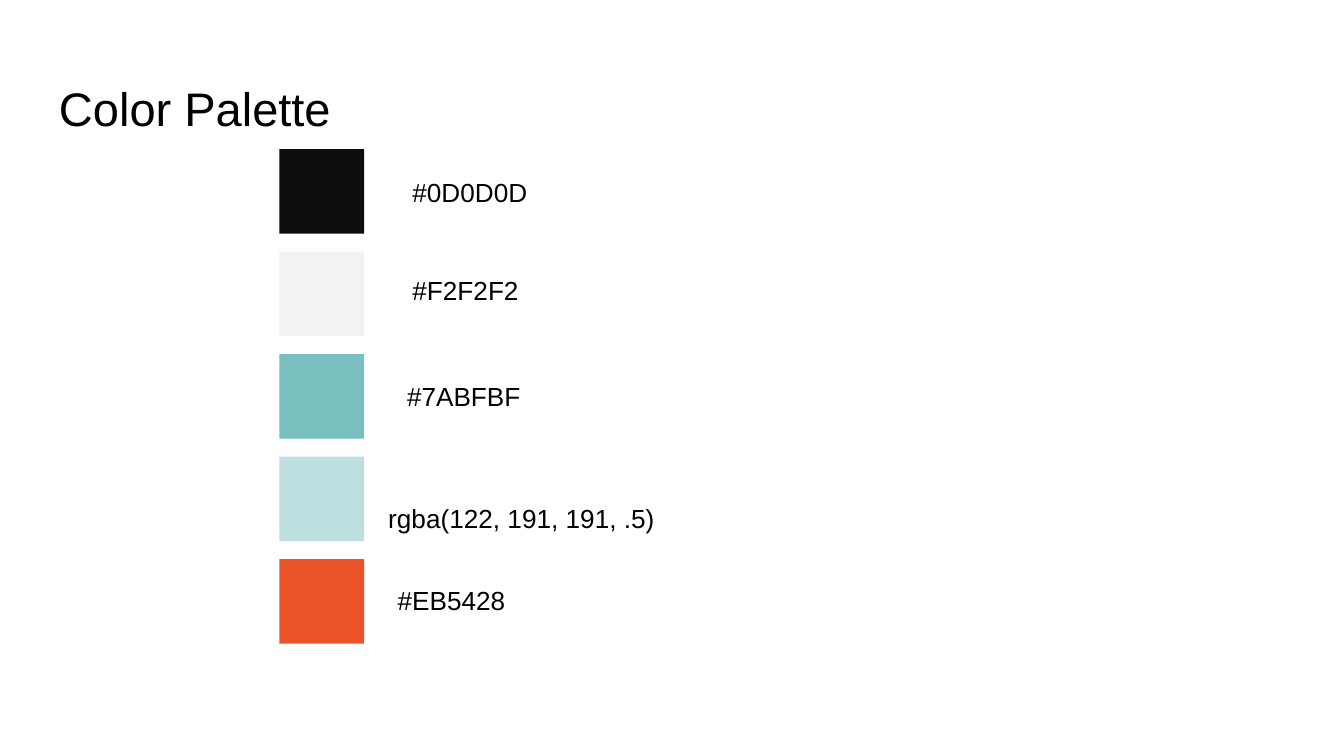
from lxml.etree import SubElement
from pptx import Presentation
from pptx.dml.color import RGBColor
from pptx.enum.shapes import MSO_SHAPE
from pptx.enum.text import MSO_ANCHOR, MSO_AUTO_SIZE
from pptx.oxml.ns import qn
from pptx.util import Inches, Pt


def color(value):
    return RGBColor.from_string(value)


class PaletteSlide:
    font_name = "Arial"
    text_color = "000000"
    inset = 0.1

    def __init__(self, presentation):
        self.slide = presentation.slides.add_slide(presentation.slide_layouts[6])
        self.slide.background.fill.solid()
        self.slide.background.fill.fore_color.rgb = color("FFFFFF")

    def text(self, content, left, top, width, height, size, line_spacing=None, grow=True):
        shape = self.slide.shapes.add_textbox(
            Inches(left), Inches(top), Inches(width), Inches(height)
        )
        frame = shape.text_frame
        frame.word_wrap = True
        frame.auto_size = MSO_AUTO_SIZE.SHAPE_TO_FIT_TEXT if grow else MSO_AUTO_SIZE.NONE
        frame.vertical_anchor = MSO_ANCHOR.TOP
        frame.margin_left = frame.margin_right = Inches(self.inset)
        frame.margin_top = frame.margin_bottom = Inches(self.inset)
        paragraph = frame.paragraphs[0]
        paragraph.text = content
        paragraph.line_spacing = line_spacing
        paragraph.font.name = self.font_name
        paragraph.font.size = Pt(size)
        paragraph.font.color.rgb = color(self.text_color)

    def swatch(self, left, top, size, fill, opacity=100):
        shape = self.slide.shapes.add_shape(
            MSO_SHAPE.RECTANGLE, Inches(left), Inches(top), Inches(size), Inches(size)
        )
        shape.shadow.inherit = False
        shape.fill.solid()
        shape.fill.fore_color.rgb = color(fill)
        shape.line.fill.background()
        if opacity < 100:
            fill_color = shape._element.spPr.find(qn("a:solidFill"))[0]
            SubElement(fill_color, qn("a:alpha"), val=str(opacity * 1000))


def main():
    presentation = Presentation()
    presentation.slide_width = Inches(10)
    presentation.slide_height = presentation.slide_width * 9 // 16

    palette = PaletteSlide(presentation)
    palette.text("Color Palette", 0.34, 0.49, 9.32, 0.63, 25.2, grow=False)

    entries = [
        ("0D0D0D", 100, "#0D0D0D", 2.97, 1.21, 1.99, None),
        ("F2F2F2", 100, "#F2F2F2", 2.97, 1.94, 1.99, None),
        ("7ABFBF", 100, "#7ABFBF", 2.93, 2.73, 1.99, None),
        ("7ABFBF", 49, "rgba(122, 191, 191, .5)", 2.79, 3.52, 3.28, 1.5),
        ("EB5428", 100, "#EB5428", 2.86, 4.25, 1.99, None),
    ]
    swatch_left, first_top, last_top, swatch_size = 2.08, 1.11, 4.16, 0.63
    pitch = (last_top - first_top) / (len(entries) - 1)
    for row, (fill, opacity, label, left, top, width, line_spacing) in enumerate(entries):
        palette.swatch(swatch_left, first_top + row * pitch, swatch_size, fill, opacity)
        palette.text(label, left, top, width, 0.44, 14, line_spacing)

    presentation.save("out.pptx")


if __name__ == "__main__":
    main()
